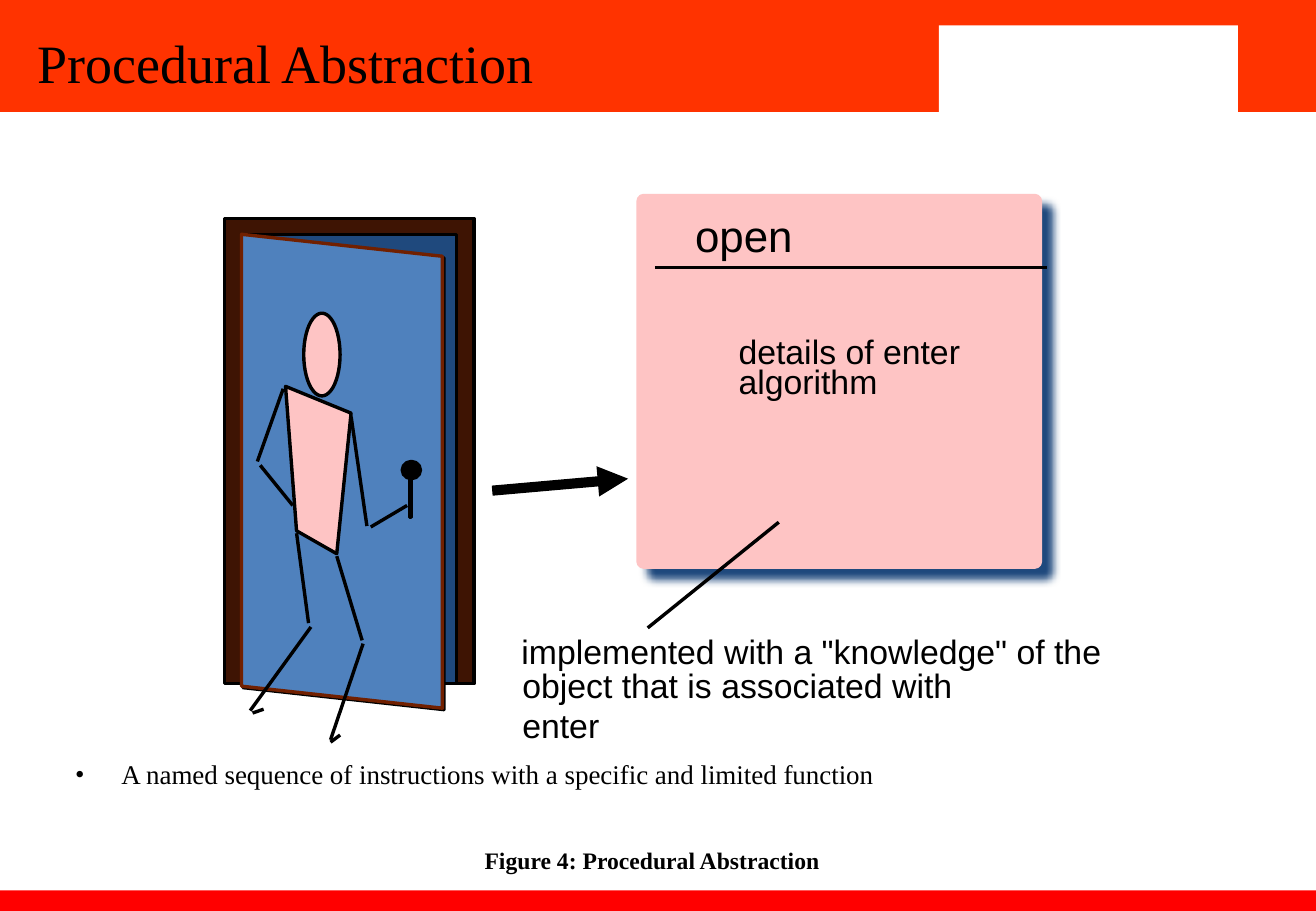
from lxml.etree import SubElement
from pptx import Presentation
from pptx.dml.color import RGBColor
from pptx.enum.shapes import MSO_CONNECTOR, MSO_SHAPE
from pptx.enum.text import MSO_ANCHOR, MSO_AUTO_SIZE, PP_ALIGN
from pptx.oxml import parse_xml
from pptx.oxml.ns import nsdecls, qn
from pptx.util import Cm, Pt

BLACK = RGBColor(0x00, 0x00, 0x00)
WHITE = RGBColor(0xFF, 0xFF, 0xFF)
ORANGE = RGBColor(0xFF, 0x33, 0x00)
RED = RGBColor(0xFF, 0x00, 0x00)
BROWN = RGBColor(0x3E, 0x14, 0x03)
RUST = RGBColor(0x71, 0x20, 0x00)
NAVY = RGBColor(0x1F, 0x49, 0x7D)
BLUE = RGBColor(0x4F, 0x81, 0xBD)
PINK = RGBColor(0xFE, 0xC4, 0xC4)

SERIF = "Times New Roman"
SANS = "Arial"

DOOR = [(5.05, 4.9), (9.25, 5.36), (9.25, 14.81), (5.05, 14.35)]
TORSO = [(5.97, 8.08), (7.34, 8.64), (7.04, 11.58), (6.2, 11.1)]
LIMBS = [
    (7.34, 8.71, 7.67, 11),
    (7.75, 11.02, 8.51, 10.57),
    (5.92, 8.13, 5.38, 9.65),
    (5.44, 9.73, 6.12, 10.57),
    (7.04, 11.63, 7.57, 13.39),
    (7.59, 13.46, 6.91, 15.47),
    (6.91, 15.52, 7.11, 15.37),
    (6.2, 11.15, 6.45, 13.03),
    (6.5, 13.11, 5.23, 14.86),
    (5.28, 14.91, 5.51, 14.83),
]
LABELS = [
    ("open", 14.25, 4.24, 5.11, 26),
    ('implemented with a "knowledge" of the', 10.62, 13.06, 13.06, 20),
    ("object that is associated with enter", 10.64, 13.77, 11.1, 20),
    ("details of enter", 15.16, 6.78, 5.38, 20),
    ("algorithm", 15.16, 7.42, 5.51, 20),
]


def set_all(item, values):
    for name, value in values.items():
        setattr(item, name, value)


def paint(shape, fill=None, line=None):
    shape.shadow.inherit = False
    if fill is None:
        shape.fill.background()
    else:
        shape.fill.solid()
        shape.fill.fore_color.rgb = fill
    if line is None:
        shape.line.fill.background()
    else:
        shape.line.color.rgb = line
        shape.line.width = Pt(2)
    return shape


def add_form(slide, kind, box, fill=None, line=None):
    shape = slide.shapes.add_shape(kind, *map(Cm, box))
    return paint(shape, fill, line)


def add_card(slide, box, curve, fill, line=None):
    card = add_form(slide, MSO_SHAPE.ROUNDED_RECTANGLE, box, fill, line)
    card.adjustments[0] = curve
    return card


def add_shade(shape):
    old = shape.element.spPr.find(qn("a:effectLst"))
    new = parse_xml(
        f'<a:effectLst {nsdecls("a")}><a:outerShdw blurRad="{Pt(5)}" '
        f'dist="{Pt(8.5)}" dir="2700000" algn="tl" rotWithShape="0">'
        f'<a:srgbClr val="{NAVY}"/></a:outerShdw></a:effectLst>'
    )
    old.getparent().replace(old, new)


def add_shape(slide, points, fill=None, line=None):
    first, *rest = [(Cm(x), Cm(y)) for x, y in points]
    build = slide.shapes.build_freeform(*first)
    build.add_line_segments(rest, close=True)
    return paint(build.convert_to_shape(), fill, line)


def add_line(slide, ends, width=2, head=False):
    line = slide.shapes.add_connector(MSO_CONNECTOR.STRAIGHT, *map(Cm, ends))
    line.line.color.rgb = BLACK
    line.line.width = Pt(width)
    if head:
        SubElement(line.line._get_or_add_ln(), qn("a:tailEnd"), type="triangle")
    SubElement(line.element.spPr, qn("a:effectLst"))


def write(frame, text, face, size, bold=False, side=0.28, edge=0.13):
    set_all(frame, {
        "word_wrap": True,
        "auto_size": MSO_AUTO_SIZE.NONE,
        "margin_left": Cm(side),
        "margin_right": Cm(side),
        "margin_top": Cm(edge),
        "margin_bottom": Cm(edge),
    })
    para = frame.paragraphs[0]
    para.alignment = PP_ALIGN.LEFT
    run = para.add_run()
    run.text = text
    set_all(run.font, {"name": face, "size": Pt(size), "bold": bold})
    run.font.color.rgb = BLACK
    return para


def add_text(slide, box, text, face, size, **looks):
    frame = slide.shapes.add_textbox(*map(Cm, box)).text_frame
    return write(frame, text, face, size, **looks)


def add_point(slide, box, text):
    para = add_text(slide, box, text, SERIF, 16, side=0, edge=0)
    props = para._p.get_or_add_pPr()
    props.set("marL", str(Cm(1.27)))
    props.set("indent", str(Cm(-0.97)))
    SubElement(props, qn("a:buFont"), typeface=SERIF)
    SubElement(props, qn("a:buChar"), char="•")


def add_bands(slide):
    for box, fill in [
        ((0, 0, 27.51, 2.34), ORANGE),
        ((0, 18.62, 27.51, 0.43), RED),
        ((19.63, 0.53, 6.25, 1.9), WHITE),
    ]:
        add_form(slide, MSO_SHAPE.RECTANGLE, box, fill)


def add_title(slide, text):
    title = slide.shapes.title
    set_all(title, {
        "left": Cm(0.58), "top": Cm(0.61),
        "width": Cm(13.18), "height": Cm(1.52),
    })
    para = write(title.text_frame, text, SERIF, 32, side=0.2, edge=0.08)
    para.line_spacing = 0.9
    title.text_frame.vertical_anchor = MSO_ANCHOR.MIDDLE
    title.element.getparent().append(title.element)


def draw_door(slide):
    add_form(slide, MSO_SHAPE.RECTANGLE, (4.7, 4.57, 5.21, 9.73), BROWN, BLACK)
    add_form(slide, MSO_SHAPE.RECTANGLE, (5.05, 4.9, 4.5, 9.4), NAVY, BLACK)
    add_shape(slide, [(x + 0.03, y + 0.03) for x, y in DOOR], line=BLACK)
    add_shape(slide, DOOR, BLUE, RUST)
    add_form(slide, MSO_SHAPE.OVAL, (8.41, 9.65, 0.38, 0.36), BLACK, BLACK)
    add_form(slide, MSO_SHAPE.RECTANGLE, (8.56, 9.98, 0.03, 0.84), BLACK, BLACK)


def draw_man(slide):
    add_form(slide, MSO_SHAPE.OVAL, (6.35, 6.55, 0.76, 1.73), PINK, BLACK)
    add_shape(slide, TORSO, PINK, BLACK)
    for ends in LIMBS:
        add_line(slide, ends)


def draw_card(slide):
    add_card(slide, (13.69, 4.32, 8.33, 7.7), 0.014, WHITE)
    add_shade(add_card(slide, (13.34, 4.09, 8.41, 7.77), 0.015, PINK, PINK))
    add_line(slide, (13.69, 5.59, 21.89, 5.59))
    add_line(slide, (16.28, 10.92, 13.54, 13.13))
    for text, left, top, width, size in LABELS:
        add_text(slide, (left, top, width, 1.12), text, SANS, size)


def main():
    deck = Presentation()
    set_all(deck, {"slide_width": Cm(27.51), "slide_height": Cm(19.05)})
    slide = deck.slides.add_slide(deck.slide_layouts[5])
    add_bands(slide)
    add_title(slide, "Procedural Abstraction")
    add_point(slide, (1.27, 15.85, 24.77, 0.8),
              "A named sequence of instructions with a specific and limited function")
    add_line(slide, (10.29, 10.26, 13.13, 10.01), width=6, head=True)
    draw_door(slide)
    draw_man(slide)
    draw_card(slide)
    add_text(slide, (9.88, 17.55, 7.54, 0.86),
             "Figure 4: Procedural Abstraction", SERIF, 14, bold=True, side=0.25)
    deck.save("out.pptx")


if __name__ == "__main__":
    main()
